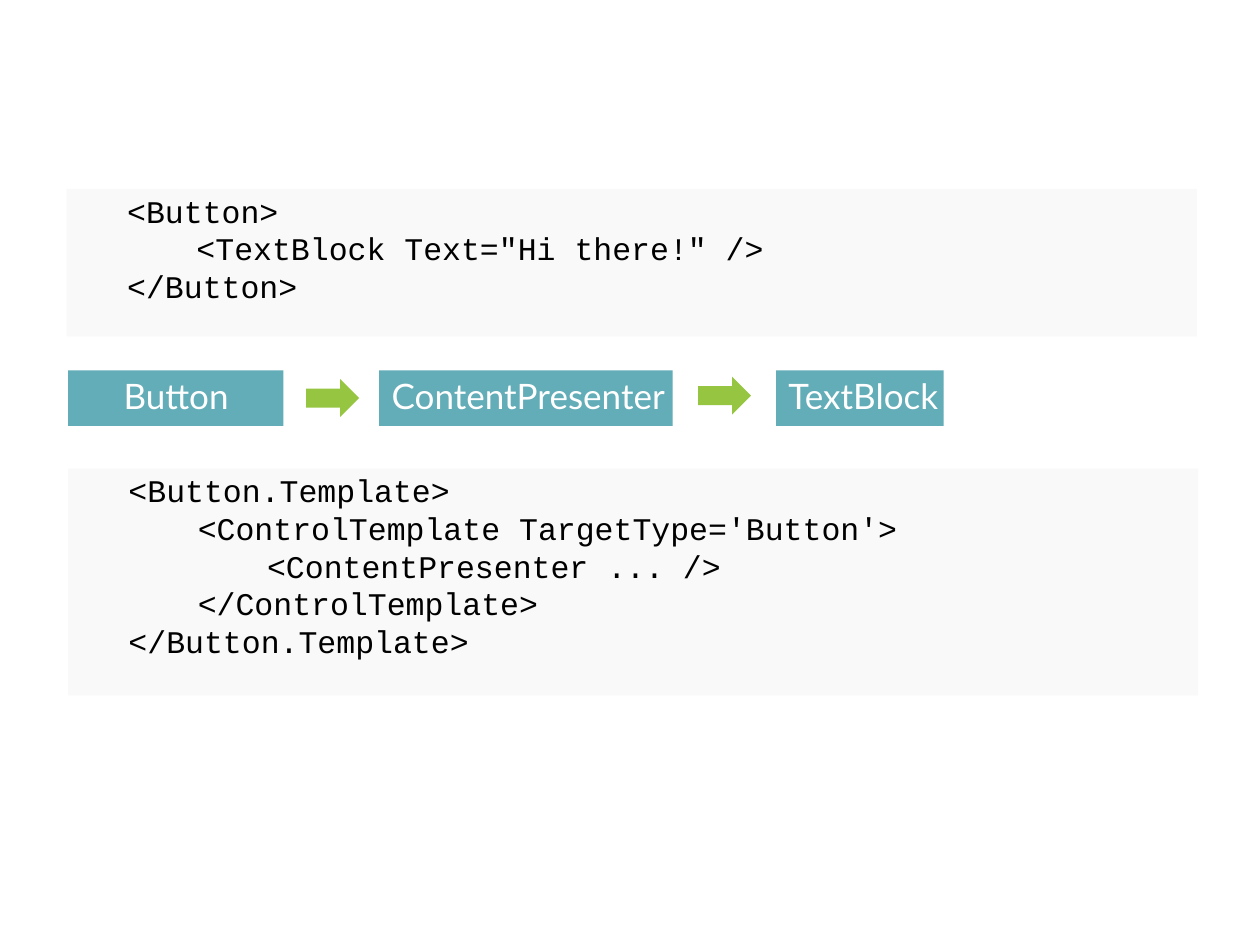
from dataclasses import dataclass

from pptx import Presentation, util as u
from pptx.dml.color import RGBColor
from pptx.enum import shapes, text

COLORS = {"panel": "F9F9F9", "block": "62ADB8", "arrow": "96C641",
          "code": "000000", "label": "FFFFFF"}
INDENT_STEP = 0.55  # inches per nesting level of the code
TOP_INSET = 0.03

deck = Presentation()
deck.slide_width, deck.slide_height = u.Inches(10), u.Inches(7.5)
slide = deck.slides.add_slide(deck.slide_layouts[6])


@dataclass
class Area:
    """A place on the slide, in percent of its width and height."""
    left: float
    top: float
    width: float
    height: float


@dataclass
class CodePanel:
    area: Area
    lines: list[tuple[int, str]]  # nesting level, code


@dataclass
class Block:
    area: Area
    label: str
    indent: float


def add_filled(area: Area, color: str, kind=shapes.MSO_SHAPE.RECTANGLE):
    x, y = deck.slide_width / 100, deck.slide_height / 100
    shape = slide.shapes.add_shape(
        kind, round(area.left * x), round(area.top * y),
        round(area.width * x), round(area.height * y))
    shape.shadow.inherit = False
    shape.fill.solid()
    shape.fill.fore_color.rgb = RGBColor.from_string(COLORS[color])
    shape.line.fill.background()
    return shape


def write(shape, lines: list[tuple[float, str]], *, font: str, size: float,
          color: str, spacing=1.0, gap: float = 0) -> None:
    """Write (indent in inches, text) lines from the top left of a shape."""
    frame = shape.text_frame
    frame.word_wrap = False
    frame.vertical_anchor = text.MSO_ANCHOR.TOP
    frame.margin_right = frame.margin_bottom = 0
    frame.margin_left = u.Inches(min(indent for indent, _ in lines))
    frame.margin_top = u.Inches(TOP_INSET)
    for number, (indent, words) in enumerate(lines):
        paragraph = frame.paragraphs[0] if number == 0 else frame.add_paragraph()
        paragraph.alignment = text.PP_ALIGN.LEFT
        paragraph.line_spacing = spacing
        if number:
            paragraph.space_before = u.Pt(gap)
        extra = u.Inches(indent) - frame.margin_left
        if extra:
            properties = paragraph._p.get_or_add_pPr()
            properties.set("marL", str(extra))
            properties.set("indent", "0")
        run = paragraph.add_run()
        run.text = words
        run.font.name, run.font.size = font, u.Pt(size)
        run.font.color.rgb = RGBColor.from_string(COLORS[color])


def draw_panel(panel: CodePanel) -> None:
    lines = [(0.48 + level * INDENT_STEP, code) for level, code in panel.lines]
    write(add_filled(panel.area, "panel"), lines, font="Courier New", size=18,
          color="code", spacing=u.Pt(21), gap=0.5)


def draw_block(block: Block) -> None:
    write(add_filled(block.area, "block"), [(block.indent, block.label)],
          font="Lato", size=20, color="label")


# Code above and below the chain
panels = [
    CodePanel(Area(5.3, 20, 89.7, 15.6), [
        (0, "<Button>"),
        (1, '<TextBlock Text="Hi there!" />'),
        (0, "</Button>"),
    ]),
    CodePanel(Area(5.4, 49.6, 89.7, 24), [
        (0, "<Button.Template>"),
        (1, "<ControlTemplate TargetType='Button'>"),
        (2, "<ContentPresenter ... />"),
        (1, "</ControlTemplate>"),
        (0, "</Button.Template>"),
    ]),
]
for panel in panels:
    draw_panel(panel)

# Chain of elements
blocks = [
    Block(Area(5.4, 39.2, 17.1, 5.87), "Button", 0.44),
    Block(Area(30.1, 39.2, 23.3, 5.87), "ContentPresenter", 0.1),
    Block(Area(61.6, 39.2, 13.3, 5.87), "TextBlock", 0.1),
]
for block in blocks:
    draw_block(block)

# Arrows between the elements
for left, top in [(24.3, 40.13), (55.4, 39.87)]:
    add_filled(Area(left, top, 4.2, 4), "arrow", shapes.MSO_SHAPE.RIGHT_ARROW)

deck.save("out.pptx")
